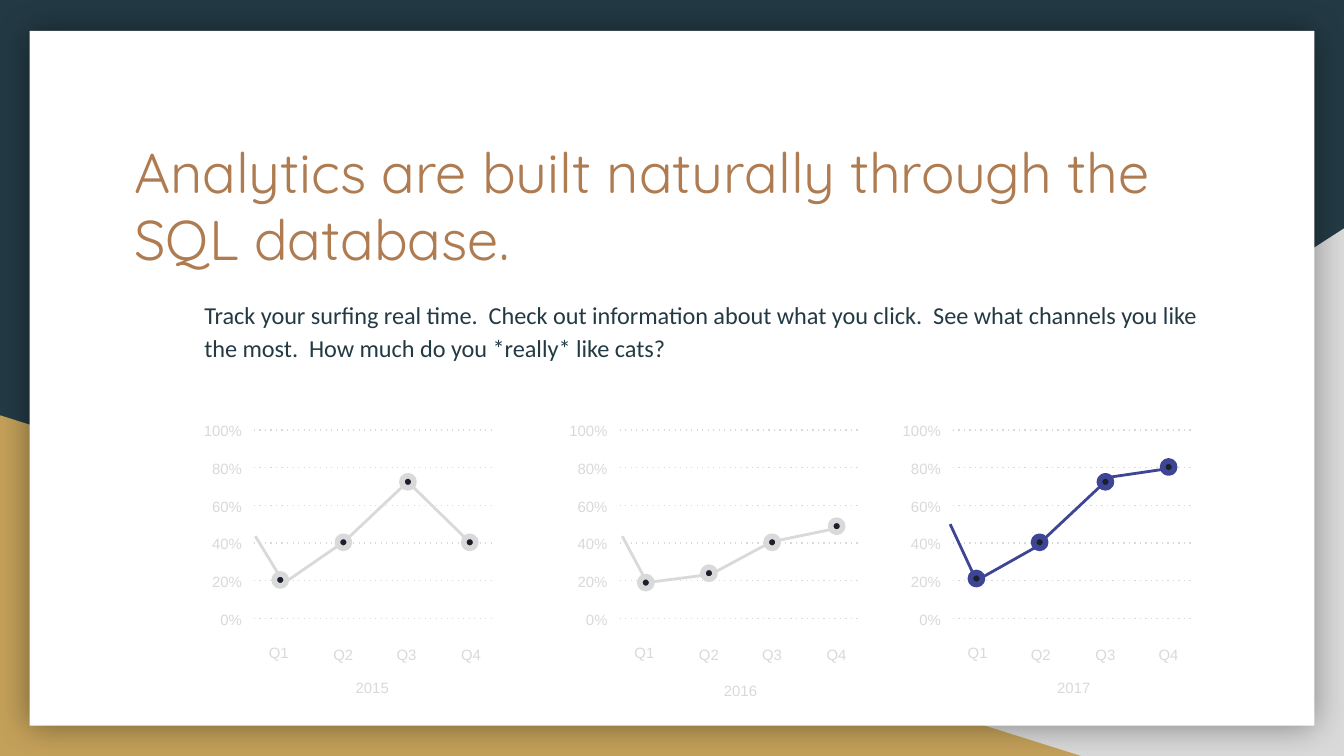
from lxml import etree
from pptx import Presentation
from pptx.dml.color import RGBColor
from pptx.enum.shapes import MSO_CONNECTOR, MSO_SHAPE
from pptx.enum.text import MSO_ANCHOR, MSO_AUTO_SIZE, PP_ALIGN
from pptx.oxml.ns import qn
from pptx.util import Pt

PX = 9144  # EMU per px, 100 px to the inch
LEFT, CENTER, RIGHT = PP_ALIGN.LEFT, PP_ALIGN.CENTER, PP_ALIGN.RIGHT
TOP, NO_FIT = MSO_ANCHOR.TOP, MSO_AUTO_SIZE.NONE
STRAIGHT, OVAL = MSO_CONNECTOR.STRAIGHT, MSO_SHAPE.OVAL
TRIANGLE, RECTANGLE = MSO_SHAPE.RIGHT_TRIANGLE, MSO_SHAPE.RECTANGLE
COLORS = {
    "navy": "233A44", "grey": "D9D9D9", "gold": "C4A15A", "white": "FFFFFF",
    "copper": "AF7B51", "dot": "1B212C", "blue": "3D4594", "shadow": "000000",
}
RGB = {name: RGBColor.from_string(value) for name, value in COLORS.items()}


def write(shape, box, text, font, size, color, align=LEFT, spacing=1.0):
    """Place a text shape and fill it with one formatted paragraph."""
    shape.left, shape.top, shape.width, shape.height = [v * PX for v in box]
    frame = shape.text_frame
    frame.word_wrap = True
    frame.auto_size = NO_FIT
    frame.vertical_anchor = TOP
    frame.margin_left = frame.margin_right = 10 * PX
    frame.margin_top = frame.margin_bottom = 10 * PX
    paragraph = frame.paragraphs[0]
    paragraph.text = text
    paragraph.alignment = align
    paragraph.line_spacing = spacing
    paragraph.space_before = Pt(0)
    paragraph.font.name = font
    paragraph.font.size = Pt(size)
    paragraph.font.color.rgb = RGB[color]
    return paragraph


def draw_line(shapes, ends, color, width, dotted=False):
    """Draw a straight line without a shadow."""
    line = shapes.add_connector(STRAIGHT, *[v * PX for v in ends])
    line.line.color.rgb = RGB[color]
    line.line.width = Pt(width)
    properties = line._element.spPr
    if dotted:
        etree.SubElement(properties.find(qn("a:ln")), qn("a:prstDash"), val="dot")
    etree.SubElement(properties, qn("a:effectLst"))


# Widescreen 16:9 slide, 10 inches wide
prs = Presentation()
prs.slide_width = 1000 * PX
prs.slide_height = prs.slide_width * 9 // 16
slide = prs.slides.add_slide(prs.slide_layouts[1])
slide.background.fill.solid()
slide.background.fill.fore_color.rgb = RGB["navy"]
title, body = slide.placeholders

# Backdrop: two corner triangles under a white card
backdrop = [
    (TRIANGLE, (392, 170, 608, 393), "grey"),
    (TRIANGLE, (0, 309, 806, 254), "gold"),
    (RECTANGLE, (22, 23, 956, 517), "white"),
]
panes = []
for kind, box, color in backdrop:
    pane = slide.shapes.add_shape(kind, *[v * PX for v in box])
    pane.shadow.inherit = False
    pane.fill.solid()
    pane.fill.fore_color.rgb = RGB[color]
    pane.line.fill.background()
    panes.append(pane)
grey_corner, gold_corner, card = panes
grey_corner._element.spPr.find(qn("a:xfrm")).set("flipH", "1")

# Soft shadow around the card
effects = card._element.spPr.find(qn("a:effectLst"))
glow = etree.SubElement(effects, qn("a:outerShdw"), blurRad=str(Pt(18)),
                        dist="0", dir="0", algn="ctr", rotWithShape="0")
glow_color = etree.SubElement(glow, qn("a:srgbClr"), val=COLORS["shadow"])
etree.SubElement(glow_color, qn("a:alpha"), val="40000")

# Title and body, brought in front of the backdrop
for placeholder in (title, body):
    slide.shapes._spTree.append(placeholder._element)
write(title, (90, 92, 821, 104),
      "Analytics are built naturally through the SQL database.",
      "Quicksand", 30, "copper")
intro_properties = body.text_frame.paragraphs[0]._p.get_or_add_pPr()
intro_properties.set("marL", "0")
intro_properties.set("indent", "0")
etree.SubElement(intro_properties, qn("a:buNone"))
intro = write(body, (142, 210, 770, 82),
              "Track your surfing real time.  Check out information about what "
              "you click.  See what channels you like the most.  How much do "
              "you *really* like cats?",
              "Calibri", 13, "navy", spacing=1.15)
intro.space_after = Pt(16)

# Yearly charts: scale labels, grid, trend segments and quarter markers
years = [
    {"year": "2015", "year_at": (241, 493), "color": "grey", "grid": 189,
     "scale": (141, 49), "quarters": (189, 237, 284, 332),
     "trend": [(190, 399, 212, 435), (259, 401, 214, 432),
               (252, 407, 307, 355), (307, 362, 353, 407)],
     "markers": [(204, 427), (251, 399), (299, 354), (345, 399)]},
    {"year": "2016", "year_at": (515, 495), "color": "grey", "grid": 461,
     "scale": (409, 53), "quarters": (461, 509, 556, 604),
     "trend": [(463, 399, 479, 429), (532, 427, 485, 433),
               (524, 430, 578, 401), (570, 404, 628, 392)],
     "markers": [(476, 429), (523, 422), (570, 399), (618, 387)]},
    {"year": "2017", "year_at": (763, 493), "color": "blue", "grid": 709,
     "scale": (661, 49), "quarters": (709, 756, 804, 851),
     "trend": [(707, 390, 726, 431), (771, 407, 723, 434),
               (777, 401, 826, 355), (826, 355, 874, 348)],
     "markers": [(722, 426), (769, 399), (818, 354), (865, 343)]},
]
for chart in years:
    shapes = slide.shapes.add_group_shape().shapes
    labels = [(chart["year"], (*chart["year_at"], 72, 35), CENTER, 1.15)]
    for number, x in enumerate(chart["quarters"], 1):
        labels.append((f"Q{number}", (x, 469 if number == 1 else 470, 37, 21),
                       CENTER, 1.0))
    scale_left, scale_width = chart["scale"]
    for step in range(6):
        labels.append((f"{100 - 20 * step}%",
                       (scale_left, 304 + 28 * step, scale_width, 21), RIGHT, 1.0))
        y = 320 + 28 * step
        draw_line(shapes, (chart["grid"], y, chart["grid"] + 180, y),
                  "grey", 0.75, dotted=True)
    for text, box, align, spacing in labels:
        label = shapes.add_textbox(*[v * PX for v in box])
        write(label, box, text, "Arial", 8, "grey", align, spacing)
    for segment in chart["trend"]:
        draw_line(shapes, segment, chart["color"], 1.5)
    for x, y in chart["markers"]:
        marker = shapes.add_shape(OVAL, x * PX, y * PX, 9 * PX, 9 * PX)
        marker.shadow.inherit = False
        marker.fill.solid()
        marker.fill.fore_color.rgb = RGB["dot"]
        marker.line.color.rgb = RGB[chart["color"]]
        marker.line.width = Pt(3)

prs.save("out.pptx")
